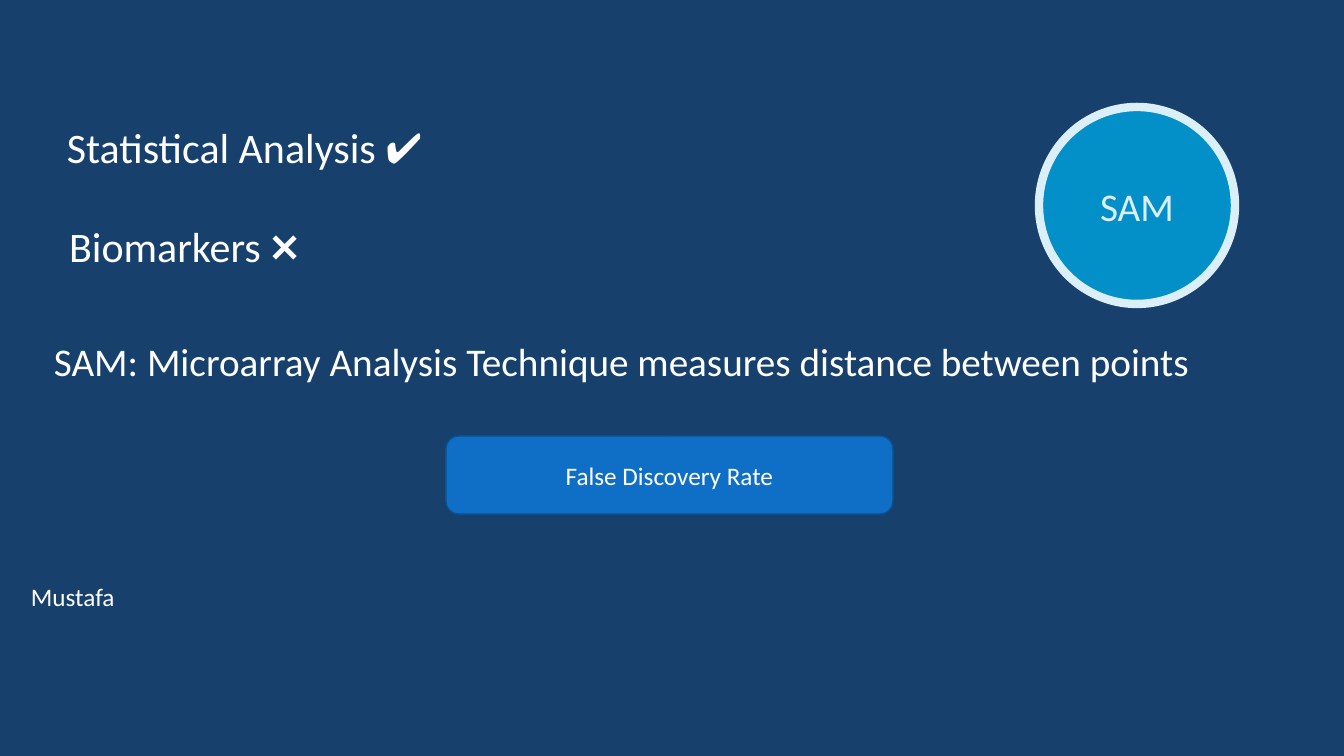
from dataclasses import dataclass

from lxml.etree import SubElement
from pptx import Presentation
from pptx.dml.color import RGBColor
from pptx.enum.shapes import MSO_SHAPE
from pptx.enum.text import MSO_ANCHOR, MSO_AUTO_SIZE, PP_ALIGN
from pptx.oxml.ns import qn
from pptx.util import Pt

PX = 914400 / 100.8


@dataclass(frozen=True)
class Theme:
    font: str = "Calibri"
    navy: str = "17406D"
    white: str = "FFFFFF"
    cyan: str = "009DD9"
    pale: str = "DBEFF9"
    blue: str = "0F6FC6"
    edge: str = "0B5292"
    heading: int = 30
    body: int = 28
    small: int = 18


theme = Theme()


def px(*lengths):
    return [round(n * PX) for n in lengths]


def write(sp, text, size, color, align):
    p = sp.text_frame.paragraphs[0]
    p.text = text
    p.alignment = align
    p.font.name = theme.font
    p.font.size = Pt(size)
    p.font.color.rgb = RGBColor.from_string(color)
    return p


prs = Presentation()
prs.slide_width, prs.slide_height = px(1344, 756)
s = prs.slides.add_slide(prs.slide_layouts[6])
s.background.fill.solid()
s.background.fill.fore_color.rgb = RGBColor.from_string(theme.navy)

# Author
author = s.shapes.add_textbox(*px(21, 576, 127, 40))
author.text_frame.word_wrap = True
author.text_frame.auto_size = MSO_AUTO_SIZE.SHAPE_TO_FIT_TEXT
write(author, "Mustafa", theme.small, theme.white, PP_ALIGN.LEFT)

# Checklist
for text, top, width in [("Statistical Analysis ✔", 117, 401),
                         ("Biomarkers ❌", 216, 280)]:
    item = s.shapes.add_textbox(*px(44, top, width, 61))
    item.text_frame.word_wrap = False
    item.text_frame.auto_size = MSO_AUTO_SIZE.SHAPE_TO_FIT_TEXT
    write(item, text, theme.heading, theme.white, PP_ALIGN.CENTER)

# Definition
definition = s.shapes.add_textbox(*px(44, 341, 1250, 51))
definition.text_frame.word_wrap = True
p = write(definition,
          "SAM: Microarray Analysis Technique measures distance between points",
          theme.body, theme.white, PP_ALIGN.LEFT)
p.line_spacing = 0.8
p.space_before = Pt(10)

# Badge and button
for kind, box, fill, alpha, line, weight, text, size, color in [
    (MSO_SHAPE.OVAL, (1039, 107, 196, 197), theme.cyan, 85,
     theme.pale, 6, "SAM", theme.body, theme.pale),
    (MSO_SHAPE.ROUNDED_RECTANGLE, (446, 436, 447, 78), theme.blue, 100,
     theme.edge, 1, "False Discovery Rate", theme.small, theme.white),
]:
    sp = s.shapes.add_shape(kind, *px(*box))
    sp.shadow.inherit = False
    sp.fill.solid()
    sp.fill.fore_color.rgb = RGBColor.from_string(fill)
    if alpha < 100:
        srgb = sp.element.spPr.find(qn("a:solidFill")).find(qn("a:srgbClr"))
        SubElement(srgb, qn("a:alpha"), val=str(alpha * 1000))
    sp.line.color.rgb = RGBColor.from_string(line)
    sp.line.width = Pt(weight)
    sp.text_frame.vertical_anchor = MSO_ANCHOR.MIDDLE
    write(sp, text, size, color, PP_ALIGN.CENTER)

prs.save("out.pptx")
